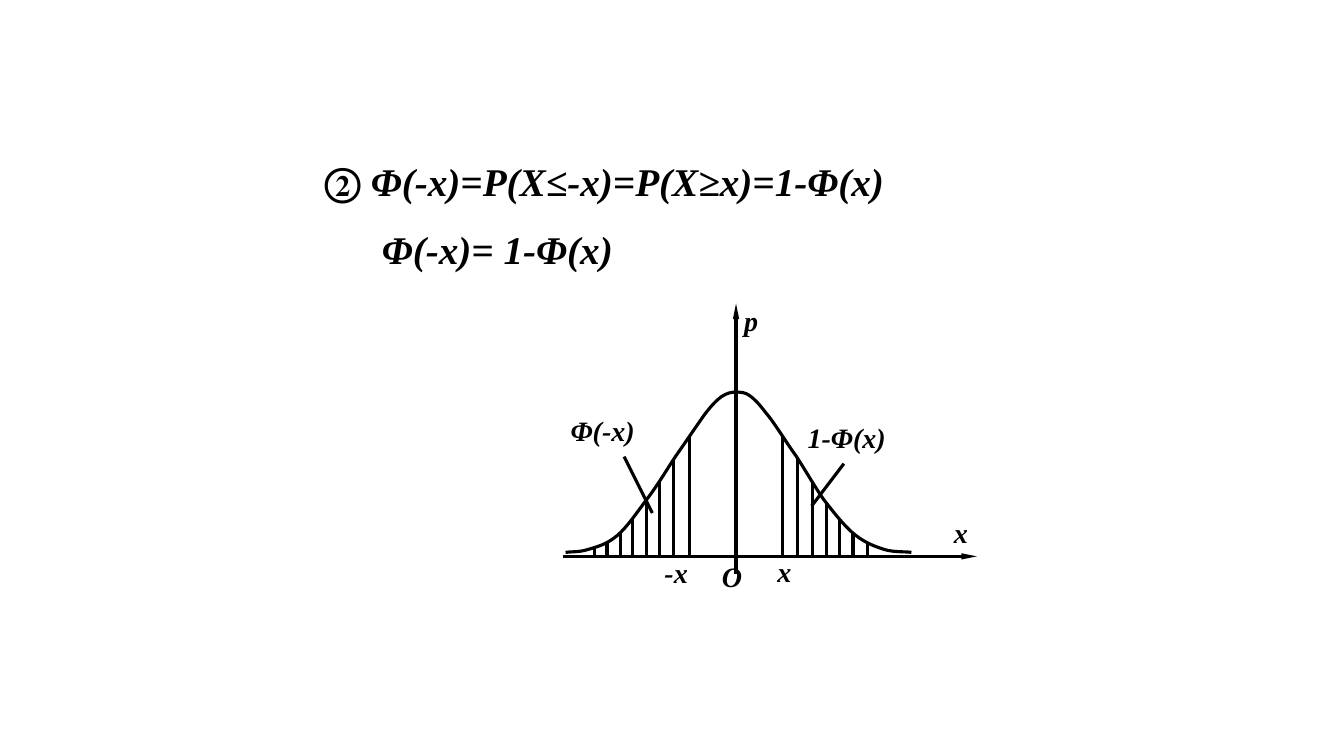
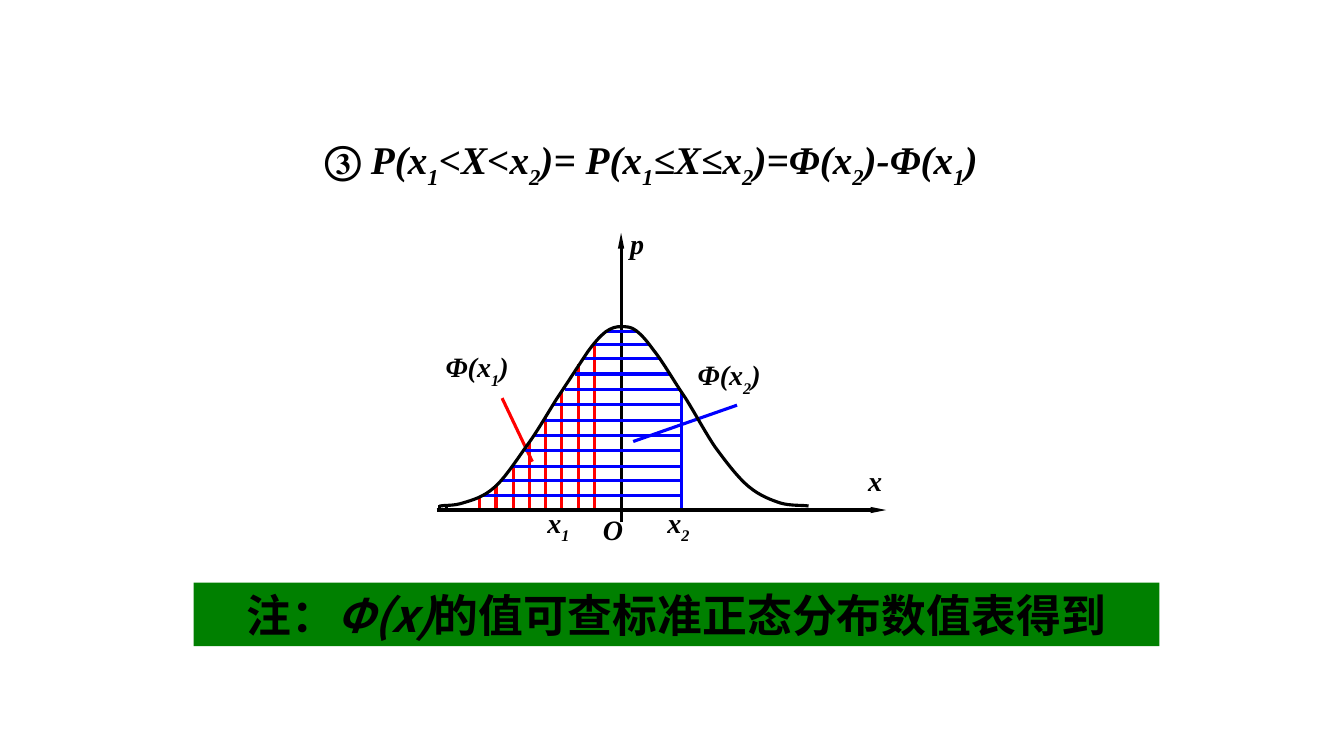
import pptx
import pptx.util
import pptx.dml.color
import pptx.enum.shapes
import pptx.enum.text
import pptx.oxml
import pptx.oxml.ns

PX = 9144  # EMU in one px, 100 px to the inch
BLACK = pptx.dml.color.RGBColor(0x00, 0x00, 0x00)
WHITE = pptx.dml.color.RGBColor(0xFF, 0xFF, 0xFF)
RED = pptx.dml.color.RGBColor(0xFF, 0x00, 0x00)
BLUE = pptx.dml.color.RGBColor(0x00, 0x00, 0xFF)
GREEN = pptx.dml.color.RGBColor(0x00, 0x80, 0x00)
HEAD = {"name": "Times New Roman", "size": pptx.util.Pt(28)}
LABEL = {"name": "Times New Roman", "size": pptx.util.Pt(20)}
NOTE = {"name": "Noto Sans CJK SC", "size": pptx.util.Pt(32)}
SHARED = {"bold": True}
LINE = pptx.util.Pt(2.25)
TOP = pptx.enum.text.MSO_ANCHOR.TOP
MIDDLE = pptx.enum.text.MSO_ANCHOR.MIDDLE

# Bezier points of the bell curve, right to left, in a 366 by 178 field
BELL = [
    (366, 178), (361, 177), (348, 178), (338, 175), (329, 172), (318, 168), (307, 159),
    (296, 150), (284, 134), (273, 119), (263, 104), (254, 87), (244, 71), (233, 55),
    (221, 34), (212, 23), (204, 12), (200, 8), (195, 4), (190, 0), (185, 0), (180, 0),
    (175, 0), (171, 1), (165, 5), (160, 9), (155, 14), (147, 25), (139, 37), (126, 57),
    (116, 72), (106, 88), (97, 104), (86, 119), (76, 133), (65, 150), (55, 159),
    (44, 169), (33, 172), (23, 175), (14, 178), (5, 177), (0, 178),
]
STEPS = 20

# Label: left, top, width, height, text, fill; "|" switches subscript on and off
# Line: start x, start y, end x, end y, colour
PLOTS = [
    {
        "head": (283, 130, 607, 145),
        "rows": [("② ", "Φ(-x)=P(X≤-x)=P(X≥x)=1-Φ(x)"), ("", "Φ(-x)= 1-Φ(x)")],
        "lead": [29, 86], "space": 1.45,
        "bell": (561, 389, 343, 159),
        "axes": [(730, 569, 730, 301), (558, 552, 969, 552)],
        "labels": [
            (946, 511, 25, 45, "x", None), (738, 301, 47, 45, "p", None),
            (716, 555, 43, 45, "O", None), (771, 550, 24, 37, "x", None),
            (659, 551, 49, 37, "-x", None), (566, 410, 97, 46, "Φ(-x)", WHITE),
            (801, 417, 125, 46, "1-Φ(x)", WHITE),
        ],
        "up": [(x, BLACK) for x in (590, 602, 615, 627, 641, 654, 668, 684,
                                    776, 791, 806, 820, 833, 846, 860)],
        "across": [], "limit": 0,
        "lines": [(647, 509, 619, 453, BLACK), (805, 502, 837, 460, BLACK)],
    },
    {
        "head": (283, 133, 711, 57),
        "rows": [("③", " P(x|1|<X<x|2|)= P(x|1|≤X≤x|2|)=Φ(x|2|)-Φ(x|1|)")],
        "lead": [29], "space": 1.0,
        "bell": (436, 324, 366, 178),
        "axes": [(616, 518, 616, 231), (433, 506, 879, 506)],
        "labels": [
            (861, 460, 27, 50, "x", None), (625, 225, 50, 50, "p", None),
            (598, 508, 46, 50, "O", None), (662, 501, 57, 52, "x|2", None),
            (543, 501, 52, 55, "x|1", None), (442, 347, 104, 51, "Φ(x|1|)", WHITE),
            (692, 355, 134, 51, "Φ(x|2|)", WHITE),
        ],
        "up": [(476 + round(i * 114 / 7), RED) for i in range(8)] + [(676, BLUE)],
        "across": [329, 342, 356, 371, 386, 401, 417, 432, 447, 463, 477, 492],
        "limit": 675,
        "lines": [(528, 458, 498, 395, RED), (628, 438, 731, 402, BLUE),
                  (443, 501, 443, 506, BLACK), (436, 501, 436, 506, BLACK)],
    },
]


def write(slide, box, rows, form, fill=None, anchor=TOP, inset=(0, 0)):
    """Add text; the parts of a row are upright and italic in turn."""
    place = [v * PX for v in box]
    if fill is None:
        shape = slide.shapes.add_textbox(*place)
    else:
        shape = slide.shapes.add_shape(pptx.enum.shapes.MSO_SHAPE.RECTANGLE, *place)
        shape.shadow.inherit = False
        shape.fill.solid()
        shape.fill.fore_color.rgb = fill
        shape.line.fill.background()
    frame = shape.text_frame
    side, edge = (v * PX for v in inset)
    values = {"word_wrap": True, "vertical_anchor": anchor, "margin_left": side,
              "margin_right": side, "margin_top": edge, "margin_bottom": edge}
    for key, value in values.items():
        setattr(frame, key, value)
    for n, row in enumerate(rows):
        para = frame.add_paragraph() if n else frame.paragraphs[0]
        para.alignment = pptx.enum.text.PP_ALIGN.LEFT
        for turn, part in enumerate(row):
            for sub, piece in enumerate(part.split("|")):
                if not piece:
                    continue
                run = para.add_run()
                run.text = piece
                for key, value in {**SHARED, **form, "italic": turn % 2 == 1}.items():
                    setattr(run.font, key, value)
                run.font.color.rgb = BLACK
                props = run._r.get_or_add_rPr()
                props.find(pptx.oxml.ns.qn("a:latin")).addnext(
                    props.makeelement(pptx.oxml.ns.qn("a:ea"), {"typeface": form["name"]}))
                if sub % 2:
                    props.set("baseline", "-30000")
    return frame


def draw(slide, ends, color, arrow=False):
    """Add a straight line, with an arrowhead at its end if asked."""
    line = slide.shapes.add_connector(
        pptx.enum.shapes.MSO_CONNECTOR.STRAIGHT, *[round(v * PX) for v in ends])
    line.line.width = LINE
    line.line.color.rgb = color
    if arrow:
        tip = pptx.oxml.ns.qn("a:tailEnd")
        form = {"type": "triangle", "w": "sm", "len": "lg"}
        line.line._get_or_add_ln().append(line._element.makeelement(tip, form))
    props = line._element.spPr
    props.append(props.makeelement(pptx.oxml.ns.qn("a:effectLst")))


deck = pptx.Presentation()
deck.slide_width = 1333 * PX
deck.slide_height = 750 * PX

for plot in PLOTS:
    slide = deck.slides.add_slide(deck.slide_layouts[6])
    upright, level = plot["axes"]

    # Formula
    frame = write(slide, plot["head"], plot["rows"], HEAD, anchor=MIDDLE, inset=(10, 5))
    frame.word_wrap = False
    for para, lead in zip(frame.paragraphs, plot["lead"]):
        para.line_spacing = plot["space"]
        props = para._p.get_or_add_pPr()
        props.set("marL", "0")
        props.set("indent", str(lead * PX))

    # Labels, upright axis and leaders
    for *box, text, fill in plot["labels"]:
        write(slide, box, [("", text)], LABEL, fill)
    draw(slide, upright, BLACK, arrow=True)
    for *ends, color in plot["lines"]:
        draw(slide, ends, color)

    # Points along the bell curve
    left, top, width, height = plot["bell"]
    knots = [(left + x * width / 366, top + y * height / 178) for x, y in BELL]
    curve = []
    for n in range(0, len(knots) - 1, 3):
        for step in range(STEPS + 1):
            t = step / STEPS
            parts = ((1 - t) ** 3, 3 * t * (1 - t) ** 2, 3 * t * t * (1 - t), t ** 3)
            curve.append([sum(w * p[k] for w, p in zip(parts, knots[n:n + 4]))
                          for k in (0, 1)])

    # Hatching under the curve
    for x, color in plot["up"]:
        peak = min(curve, key=lambda p: abs(p[0] - x))[1]
        draw(slide, (x, peak, x, level[1]), color)
    for y in plot["across"]:
        inside = [p[0] for p in curve if p[1] <= y]
        draw(slide, (min(inside), y, min(max(inside), plot["limit"]), y), BLUE)
    draw(slide, level, BLACK, arrow=True)

    # Bell outline: every three straight segments become one Bezier segment
    spots = [(round(x * PX), round(y * PX)) for x, y in knots]
    maker = slide.shapes.build_freeform(*spots[0])
    maker.add_line_segments(spots[1:], close=False)
    bell = maker.convert_to_shape()
    pieces = list(bell._element.iter(pptx.oxml.ns.qn("a:lnTo")))
    for n in range(0, len(pieces), 3):
        arc = bell._element.makeelement(pptx.oxml.ns.qn("a:cubicBezTo"))
        pieces[n].addprevious(arc)
        for piece in pieces[n:n + 3]:
            arc.append(piece[0])
            piece.getparent().remove(piece)
    bell.shadow.inherit = False
    bell.fill.background()
    bell.line.width = LINE
    bell.line.color.rgb = BLACK

# Note on the last slide
frame = write(slide, (192, 578, 958, 63), [("注：", "Φ(x)", "的值可查标准正态分布数值表得到")],
              NOTE, GREEN, MIDDLE, (10, 5))
frame.paragraphs[0].alignment = pptx.enum.text.PP_ALIGN.CENTER

deck.save("out.pptx")
